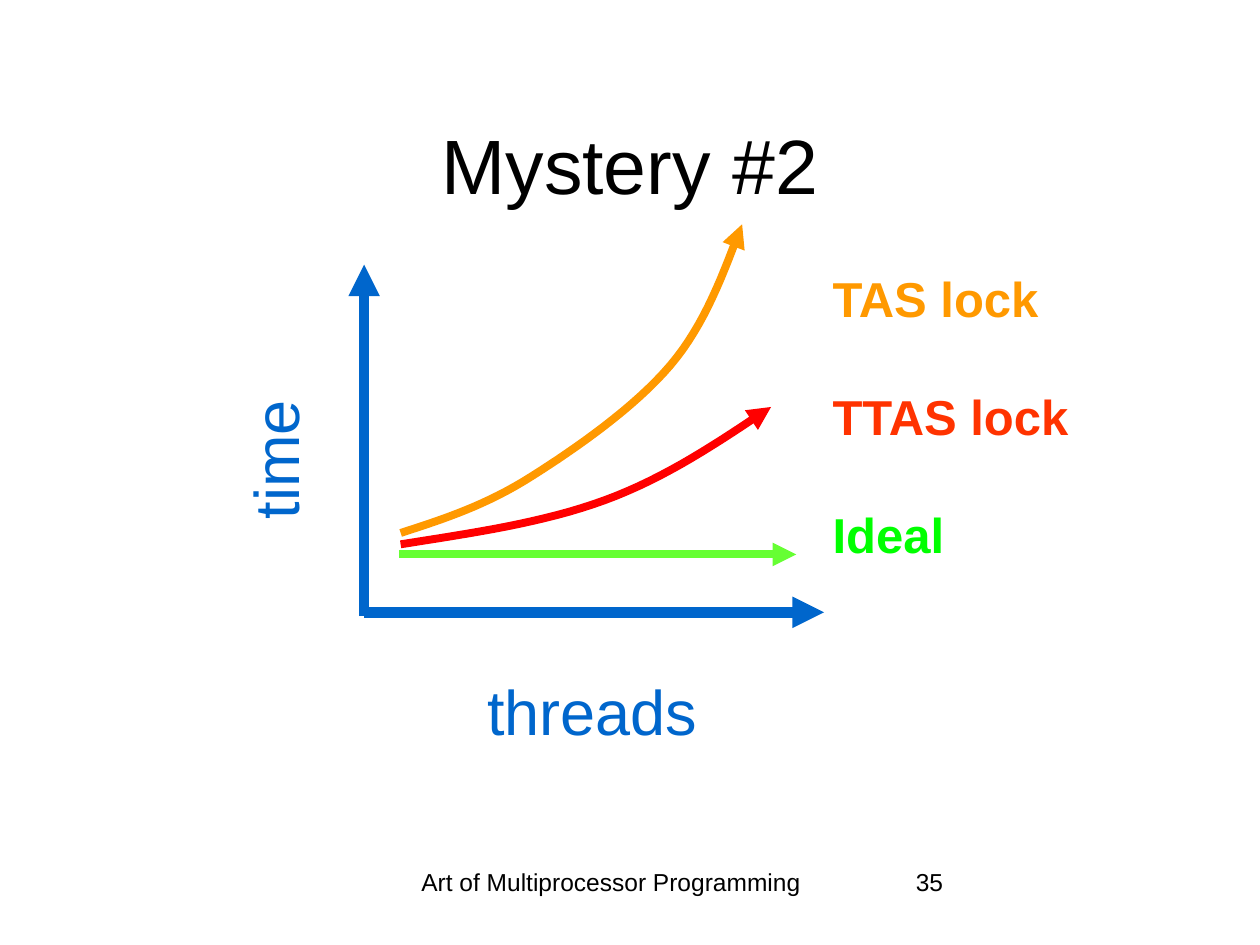
from lxml import etree
from pptx import Presentation
from pptx import util as u
from pptx.dml.color import RGBColor
from pptx.enum import shapes, text
from pptx.oxml.ns import qn

COLORS = {
    "text": "000000",
    "axis": "0066CC",
    "tas": "FF9900",
    "ttas": "FF0000",
    "ttas_label": "FF3300",
    "ideal": "66FF33",
    "ideal_label": "00FF00",
}
LEFT, CENTER = text.PP_ALIGN.LEFT, text.PP_ALIGN.CENTER
TOP, MIDDLE = text.MSO_ANCHOR.TOP, text.MSO_ANCHOR.MIDDLE


def curve_points(start, segments, steps=16):
    """Sample a chain of cubic Bezier segments, given as (c1, c2, end)."""
    points = [start]
    for c1, c2, end in segments:
        p0 = points[-1]
        for step in range(1, steps + 1):
            t = step / steps
            s = 1 - t
            weights = (s**3, 3 * s * s * t, 3 * s * t * t, t**3)
            points.append(tuple(
                sum(w * p[axis] for w, p in zip(weights, (p0, c1, c2, end)))
                for axis in (0, 1)))
    return points


class SlideStyle:
    font = "Arial"

    def __init__(self, slide):
        self.slide = slide

    def color(self, name):
        return RGBColor.from_string(COLORS[name])

    def text(self, box, lines, size, align=LEFT, anchor=TOP, bold=False,
             gap=0, wrap=True, vert=None):
        """Add a text box; lines holds (wording, colour name) pairs."""
        shape = self.slide.shapes.add_textbox(*map(u.Inches, box))
        frame = shape.text_frame
        frame.word_wrap = wrap
        frame.vertical_anchor = anchor
        if vert:
            shape._element.txBody.bodyPr.set("vert", vert)
        for i, (wording, color) in enumerate(lines):
            paragraph = frame.add_paragraph() if i else frame.paragraphs[0]
            paragraph.alignment = align
            if i:
                paragraph.space_before = u.Pt(gap)
            run = paragraph.add_run()
            run.text = wording
            run.font.name = self.font
            run.font.size = u.Pt(size)
            run.font.bold = bold
            run.font.color.rgb = self.color(color)

    def arrow_line(self, shape, color, width):
        shape.line.color.rgb = self.color(color)
        shape.line.width = u.Pt(width)
        etree.SubElement(shape.line._get_or_add_ln(), qn("a:tailEnd"),
                         type="triangle")

    def arrow(self, start, end, color, width):
        connector = self.slide.shapes.add_connector(
            shapes.MSO_CONNECTOR.STRAIGHT, *map(u.Inches, start + end))
        self.arrow_line(connector, color, width)
        etree.SubElement(connector._element.spPr, qn("a:effectLst"))

    def curve(self, start, segments, color, width):
        points = [(u.Inches(x), u.Inches(y))
                  for x, y in curve_points(start, segments)]
        builder = self.slide.shapes.build_freeform(*points[0])
        builder.add_line_segments(points[1:], close=False)
        shape = builder.convert_to_shape()
        shape.fill.background()
        self.arrow_line(shape, color, width)
        shape.shadow.inherit = False


def main():
    deck = Presentation()
    deck.slide_width, deck.slide_height = u.Inches(10), u.Inches(7.5)
    page = SlideStyle(deck.slides.add_slide(deck.slide_layouts[6]))

    # Footer and title
    page.text((2.89, 6.83, 3.92, 0.5),
              [("Art of Multiprocessor Programming", "text")], 14, CENTER)
    page.text((7.17, 6.83, 2.08, 0.5), [("35", "text")], 14)
    page.text((0.75, 0.67, 8.5, 1.25), [("Mystery #2", "text")], 44,
              CENTER, MIDDLE)

    # Axes
    page.arrow((2.89, 4.89), (2.89, 2.1), "axis", 6)
    page.arrow((2.89, 4.86), (6.54, 4.86), "axis", 6)

    # Lock names
    page.text((6.51, 2.08, 2.09, 2.93),
              [("TAS lock", "tas"), ("TTAS lock", "ttas_label"),
               ("Ideal", "ideal_label")],
              28, bold=True, gap=34, wrap=False)

    # Axis names
    page.text((1.77, 3.05, 0.81, 1.2), [("time", "axis")], 36,
              CENTER, MIDDLE, wrap=False, vert="vert270")
    page.text((3.6, 5.23, 2.2, 0.81), [("threads", "axis")], 36,
              CENTER, MIDDLE, wrap=False)

    # Time against threads for each lock
    page.arrow((3.17, 4.4), (6.32, 4.4), "ideal", 4.5)
    page.curve((3.18, 4.23),
               [((3.52, 4.12), (3.86, 4.01), (4.22, 3.78)),
                ((4.57, 3.56), (5.04, 3.23), (5.32, 2.9)),
                ((5.6, 2.57), (5.74, 2.17), (5.89, 1.78))], "tas", 4.5)
    page.curve((3.18, 4.32),
               [((3.75, 4.23), (4.31, 4.15), (4.8, 3.97)),
                ((5.29, 3.79), (5.7, 3.51), (6.12, 3.23))], "ttas", 4.5)

    deck.save("out.pptx")


if __name__ == "__main__":
    main()
